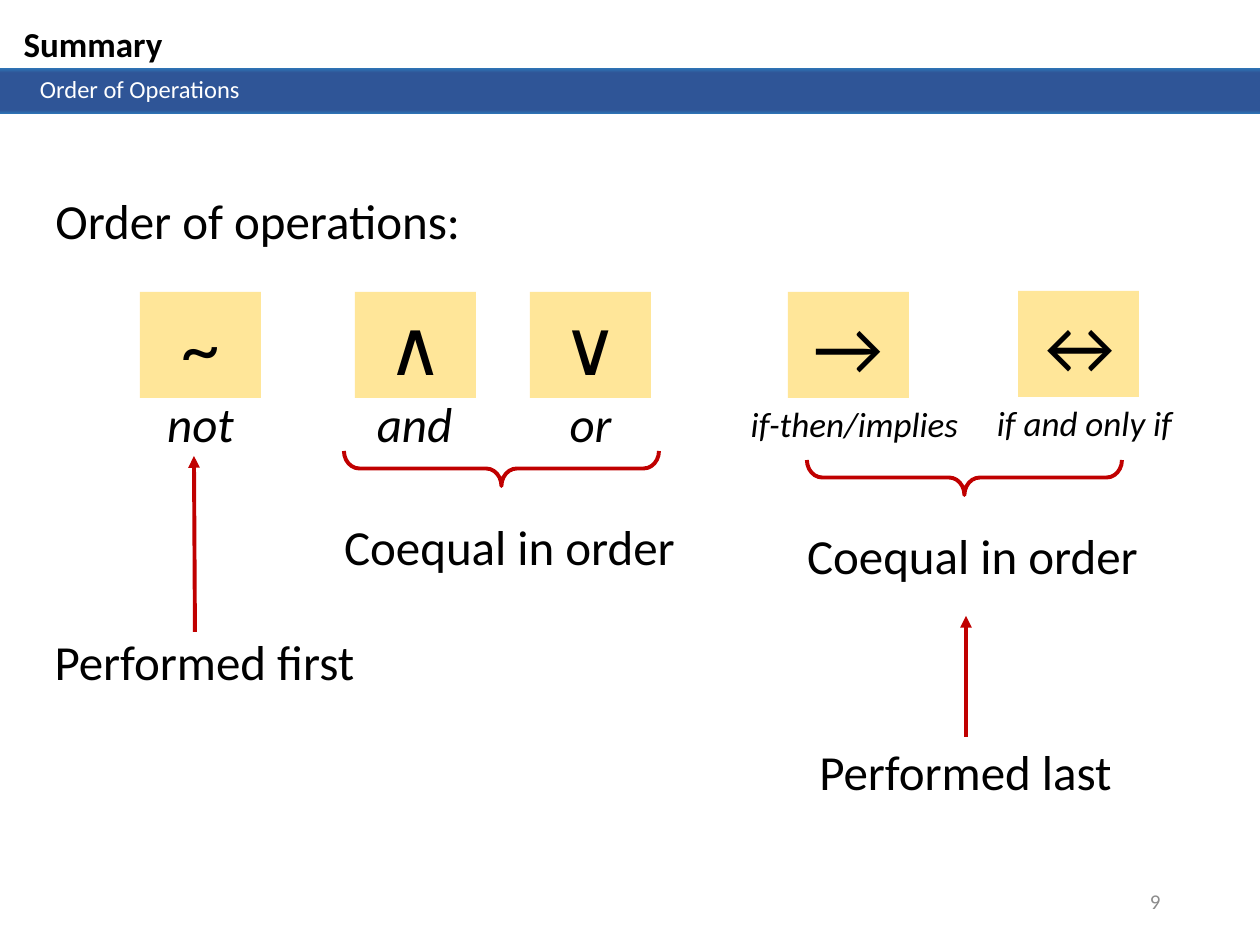
import copy

import pptx
import pptx.dml.color
import pptx.enum.shapes
import pptx.enum.text
import pptx.oxml
import pptx.oxml.ns
import pptx.util
from lxml import etree

SCALE = 914400 / 126
HUES = {"ink": "000000", "white": "FFFFFF", "gray": "8C8C8C", "gold": "FFE699",
        "red": "C00000", "edge": "2E75B6", "band": "2F5597"}
FONT = "Calibri"
SHAPE = pptx.enum.shapes.MSO_SHAPE
ALIGN = pptx.enum.text.PP_ALIGN
ANCHOR = pptx.enum.text.MSO_ANCHOR
qn = pptx.oxml.ns.qn
rgb = {key: pptx.dml.color.RGBColor.from_string(hue) for key, hue in HUES.items()}


def px(*nums):
    return [round(num * SCALE) for num in nums]


def write(shape, text, size, hue="ink", align=ALIGN.CENTER, bold=False, italic=False):
    """Put one line of text at the top of a shape."""
    frame = shape.text_frame
    frame.word_wrap = True
    frame.auto_size = pptx.enum.text.MSO_AUTO_SIZE.NONE
    frame.vertical_anchor = ANCHOR.TOP
    frame.text = text
    para = frame.paragraphs[0]
    para.alignment = align
    font = para.font
    font.name, font.size = FONT, pptx.util.Pt(size)
    font.bold, font.italic = bold, italic
    font.color.rgb = rgb[hue]


deck = pptx.Presentation()
deck.slide_width, deck.slide_height = px(1260, 945)
slide = deck.slides.add_slide(deck.slide_layouts[5])
shapes = slide.shapes

# Heading and banner
title = shapes.title
title.left, title.top, title.width, title.height = px(11, 16, 339, 55)
write(title, "Summary", 20, align=ALIGN.LEFT, bold=True)

band = shapes.add_shape(SHAPE.RECTANGLE, *px(0, 68, 1260, 46))
band.shadow.inherit = False
band.line.fill.background()
band.fill.gradient()
band.fill.gradient_angle = 270
stops = band._element.spPr.find(".//" + qn("a:gsLst"))
for stop in list(stops):
    stops.append(copy.deepcopy(stop))
marks = [(0, "edge"), (0.11, "band"), (0.91, "band"), (1, "edge")]
for stop, (place, hue) in zip(band.fill.gradient_stops, marks):
    stop.position = place
    stop.color.rgb = rgb[hue]
write(band, "Order of Operations", 14, "white", ALIGN.LEFT)
band.text_frame.margin_left = px(40)[0]

# Operators with their names: sign, left, top, name, name left, name top, width, size
signs = [
    ("~", 140, 292, "not", 140, 387, 121, 28),
    ("∧", 355, 292, "and", 354, 387, 121, 28),
    ("∨", 530, 292, "or", 530, 387, 121, 28),
    ("→", 788, 292, "if-then/implies", 736, 396, 237, 20),
    ("↔", 1018, 291, "if and only if", 966, 395, 237, 20),
]
for sign, left, top, name, x, y, wide, size in signs:
    tile = shapes.add_shape(SHAPE.RECTANGLE, *px(left, top, 121, 106))
    tile.shadow.inherit = False
    tile.fill.solid()
    tile.fill.fore_color.rgb = rgb["gold"]
    tile.line.fill.background()
    write(tile, sign, 44)
    label = shapes.add_textbox(*px(x, y, wide, 72 if size == 28 else 55))
    write(label, name, size, italic=True)

# Notes on the order
notes = [
    ("Order of operations:", 43, 184, 538, ALIGN.LEFT),
    ("Performed first", 15, 625, 379, ALIGN.CENTER),
    ("Coequal in order", 320, 510, 379, ALIGN.CENTER),
    ("Coequal in order", 783, 519, 379, ALIGN.CENTER),
    ("Performed last", 776, 735, 379, ALIGN.CENTER),
]
for text, left, top, wide, align in notes:
    write(shapes.add_textbox(*px(left, top, wide, 72)), text, 28, align=align)

# Braces and arrows
for left, top in [(484, 311), (947, 320)]:
    brace = shapes.add_shape(SHAPE.LEFT_BRACE, *px(left, top, 35, 315))
    brace.shadow.inherit = False
    brace.rotation = 270
    brace.adjustments[0] = 0.44
    brace.fill.background()
    brace.line.color.rgb = rgb["red"]
    brace.line.width = pptx.util.Pt(2.25)

for ends in [(195, 632, 194, 456), (966, 737, 966, 616)]:
    arrow = shapes.add_connector(pptx.enum.shapes.MSO_CONNECTOR.STRAIGHT, *px(*ends))
    arrow.line.color.rgb = rgb["red"]
    arrow.line.width = pptx.util.Pt(2.25)
    props = arrow._element.spPr
    etree.SubElement(props.find(qn("a:ln")), qn("a:tailEnd"), type="triangle")
    etree.SubElement(props, qn("a:effectLst"))

# Page number
page = shapes.add_textbox(*px(890, 876, 283, 50))
write(page, "9", 12, "gray", ALIGN.RIGHT)
page.text_frame.vertical_anchor = ANCHOR.MIDDLE

deck.save("out.pptx")
